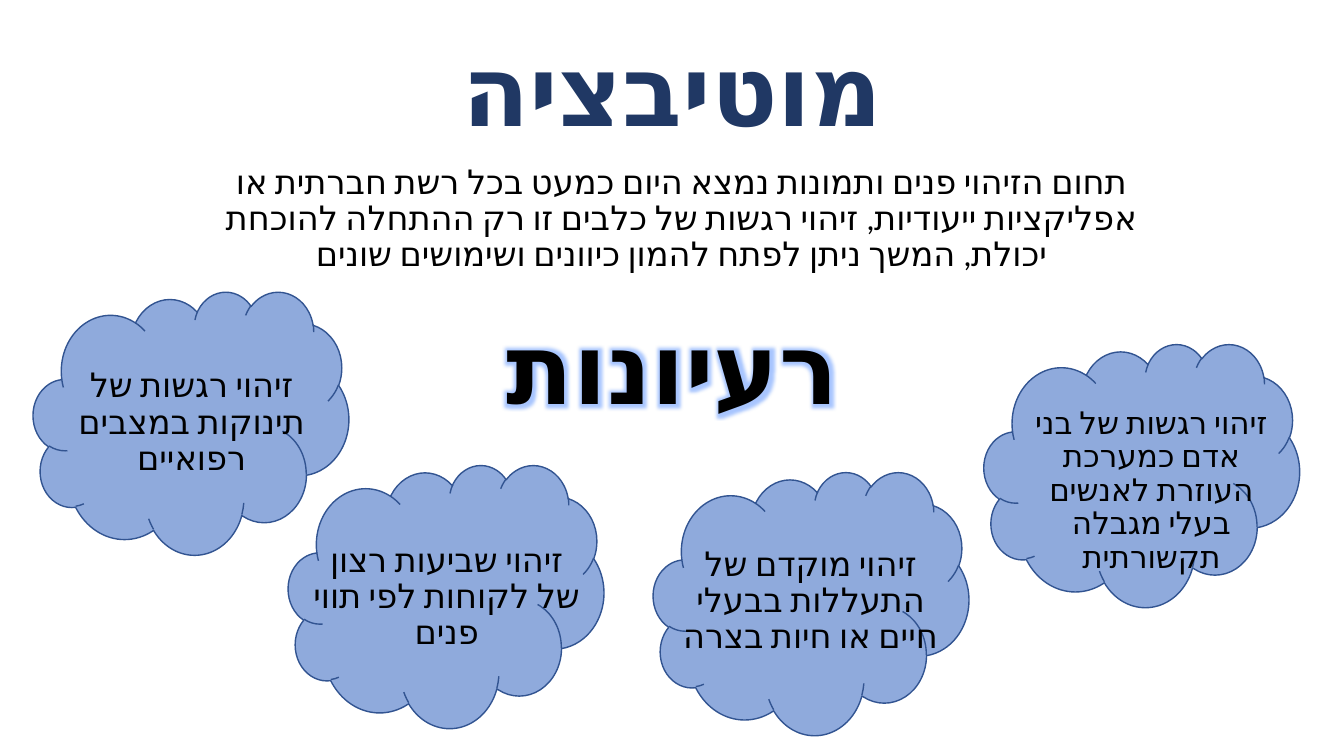
from dataclasses import dataclass

from lxml import etree
from pptx import Presentation
from pptx.dml.color import RGBColor
from pptx.enum import shapes, text
from pptx.oxml.ns import qn
from pptx.util import Inches, Pt


@dataclass(frozen=True)
class Theme:
    heading_font: str = "Lato"
    body_font: str = "Calibri"
    heading_size: float = 70
    body_size: float = 24
    dense_size: float = 22.2
    navy: str = "203864"
    black: str = "000000"
    cloud_fill: str = "8FAADC"
    cloud_line: str = "325491"
    glow: str = "6FA0FF"
    glow_radius: float = 8


class SlideBuilder:
    def __init__(self, slide, theme):
        self.shapes = slide.shapes
        self.theme = theme

    def add_text(self, words, left, top, width, height, font, size, color,
                 bold=False, anchor=text.MSO_ANCHOR.TOP):
        """Add one centred right-to-left paragraph and return its run."""
        box = self.shapes.add_textbox(
            Inches(left), Inches(top), Inches(width), Inches(height))
        frame = box.text_frame
        frame.word_wrap = True
        frame.vertical_anchor = anchor
        para = frame.paragraphs[0]
        para.alignment = text.PP_ALIGN.CENTER
        para.line_spacing = 0.9
        para._p.get_or_add_pPr().set("rtl", "1")
        span = para.add_run()
        span.text = words
        span.font.name = font
        span.font.size = Pt(size)
        span.font.bold = bold
        span.font.color.rgb = RGBColor.from_string(color)
        properties = span.font._element
        properties.set("lang", "he-IL")
        etree.SubElement(properties, qn("a:cs"), typeface=font)
        return span

    def add_heading(self, words, top, color):
        return self.add_text(
            words, 1.67, top, 10, 0.97, self.theme.heading_font,
            self.theme.heading_size, color, True, text.MSO_ANCHOR.BOTTOM)

    def add_body(self, words, left, top, width, height, size=None):
        self.add_text(words, left, top, width, height, self.theme.body_font,
                      size or self.theme.body_size, self.theme.black)

    def add_glow(self, span):
        properties = span.font._element
        effects = etree.Element(qn("a:effectLst"))
        radius = str(Pt(self.theme.glow_radius))
        glow = etree.SubElement(effects, qn("a:glow"), rad=radius)
        color = etree.SubElement(glow, qn("a:srgbClr"), val=self.theme.glow)
        etree.SubElement(color, qn("a:alpha"), val="60000")
        properties.find(qn("a:solidFill")).addnext(effects)

    def add_cloud(self, left, top):
        cloud = self.shapes.add_shape(
            shapes.MSO_SHAPE.CLOUD,
            Inches(left), Inches(top), Inches(3.13), Inches(2.61))
        cloud.shadow.inherit = False
        cloud.fill.solid()
        cloud.fill.fore_color.rgb = RGBColor.from_string(self.theme.cloud_fill)
        cloud.line.color.rgb = RGBColor.from_string(self.theme.cloud_line)
        cloud.line.width = Pt(1)

    def add_idea(self, words, cloud_at, text_at, size=None):
        self.add_cloud(*cloud_at)
        self.add_body(words, *text_at, 2.86, 1.52, size)


def main():
    deck = Presentation()
    deck.slide_width = Inches(13.33)
    deck.slide_height = Inches(7.5)
    theme = Theme()
    page = SlideBuilder(deck.slides.add_slide(deck.slide_layouts[6]), theme)

    page.add_heading("מוטיבציה", 0.54, theme.navy)
    page.add_body(
        "תחום הזיהוי פנים ותמונות נמצא היום כמעט בכל רשת חברתית או "
        "אפליקציות ייעודיות, זיהוי רגשות של כלבים זו רק ההתחלה להוכחת "
        "יכולת, המשך ניתן לפתח להמון כיוונים ושימושים שונים",
        1.76, 1.59, 10, 1.81)
    page.add_glow(page.add_heading("רעיונות", 3.3, theme.black))

    ideas = [
        ("זיהוי שביעות רצון של לקוחות לפי תווי פנים",
         (2.86, 4.61), (3, 5.34), theme.body_size),
        ("זיהוי מוקדם של התעללות בבעלי חיים או חיות בצרה",
         (6.48, 4.68), (6.61, 5.38), theme.body_size),
        ("זיהוי רגשות של תינוקות במצבים רפואיים",
         (0.33, 2.89), (0.47, 3.61), theme.body_size),
        ("זיהוי רגשות של בני אדם כמערכת העוזרת לאנשים בעלי מגבלה תקשורתית",
         (9.76, 3.41), (9.99, 3.99), theme.dense_size),
    ]
    for idea in ideas:
        page.add_idea(*idea)

    deck.save("out.pptx")


if __name__ == "__main__":
    main()
